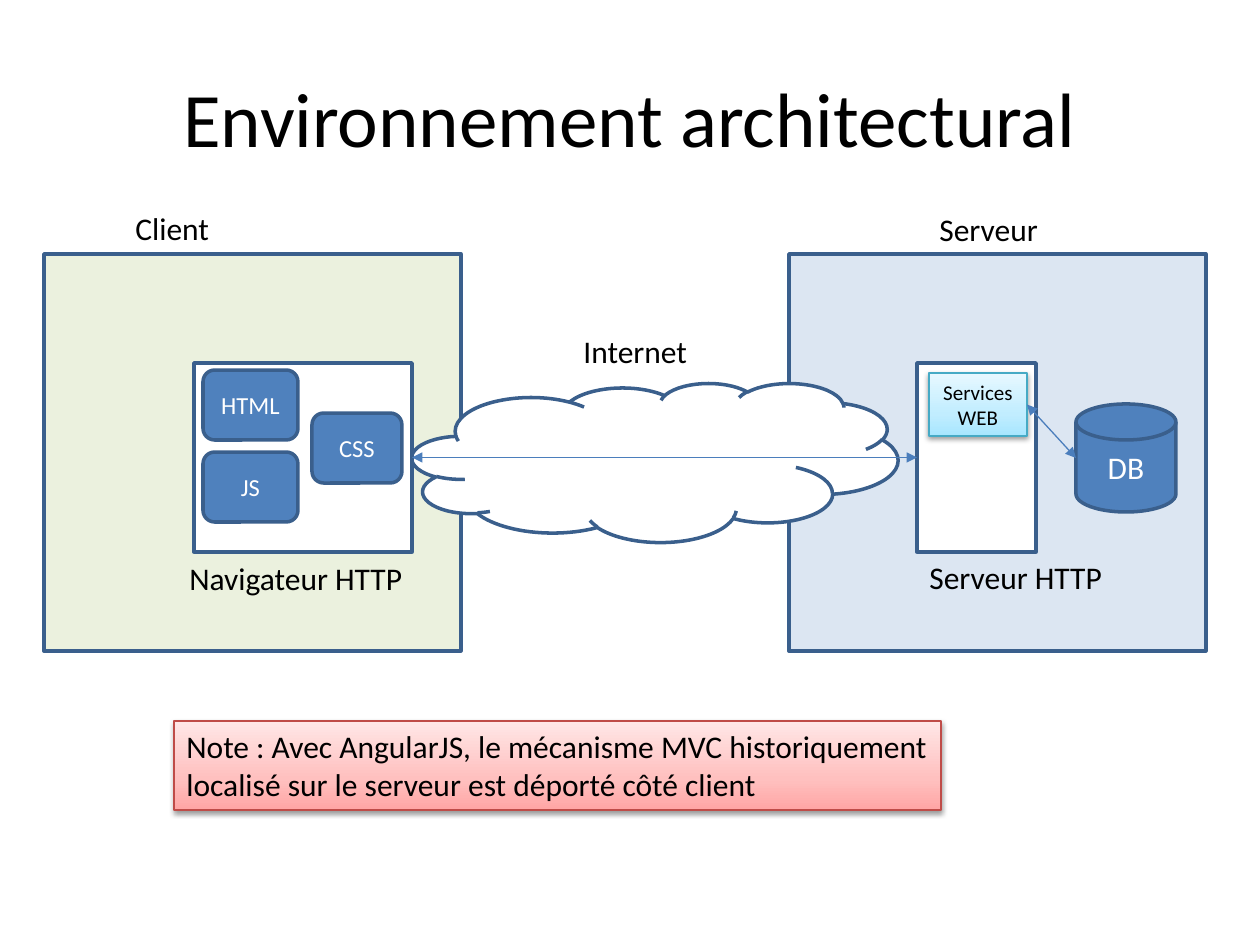
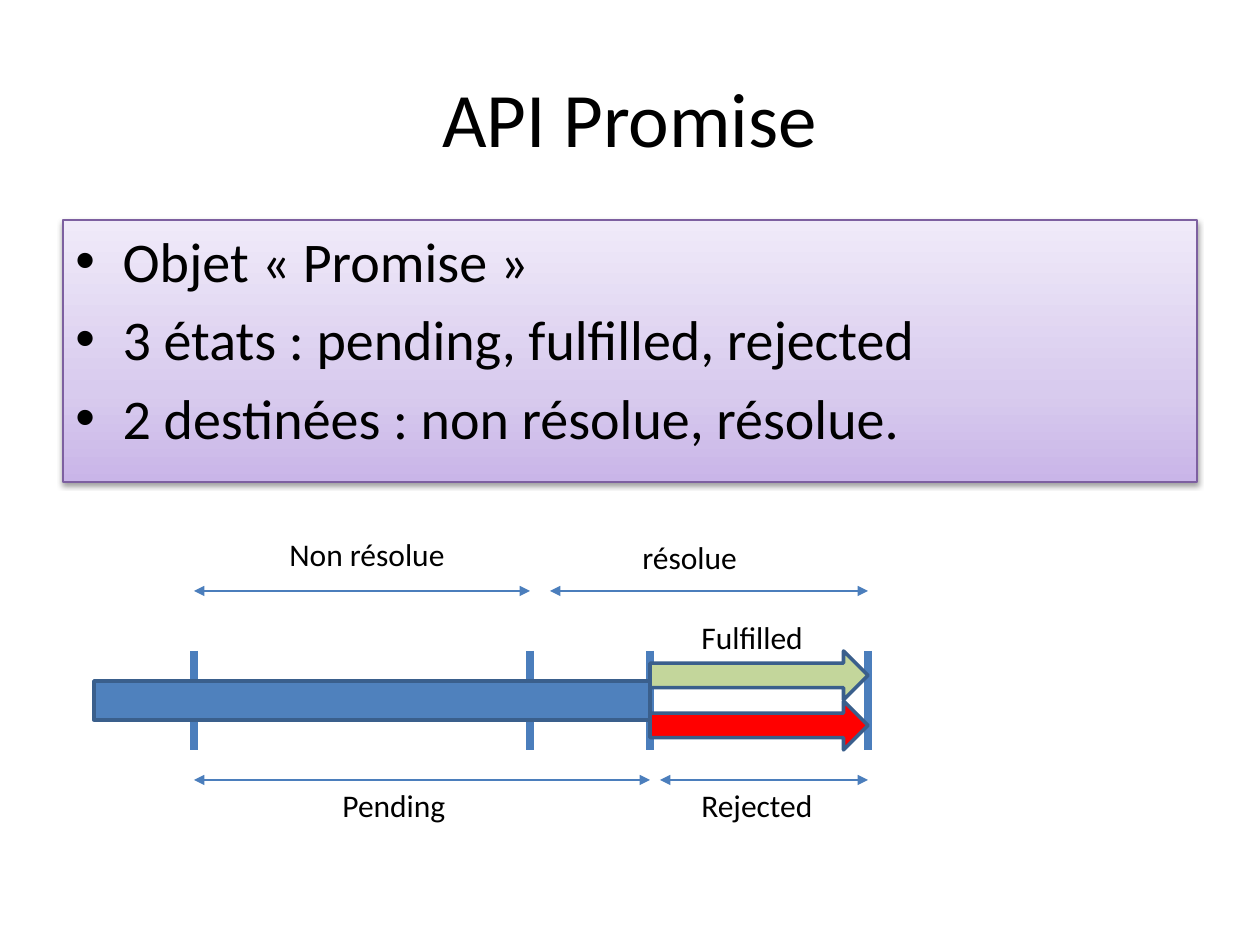
from lxml.etree import SubElement
from pptx import Presentation
from pptx.dml.color import RGBColor
from pptx.enum.shapes import MSO_CONNECTOR, MSO_SHAPE
from pptx.enum.text import MSO_ANCHOR, PP_ALIGN
from pptx.oxml.ns import qn
from pptx.util import Pt

PX = 914400 / 126
FONT = "Calibri"
BLACK, WHITE = "000000", "FFFFFF"
BLUE, OUTLINE, LINK = "4F81BD", "3A5F8C", "4B7EBC"
CLIENT_GREEN, SERVER_BLUE = "EBF1DE", "DCE6F2"
FULFILLED_GREEN, REJECTED_RED = "C3D69B", "FF0000"
# Gradient stops from bottom to top, then the outline
RED_CARD = ("FFA6A5", "FFC0BF", "FFE7E7"), "BF4C48"
AQUA_CARD = ("A7E6FF", "C1EDFF", "E7F8FF"), "46AAC5"
PURPLE_CARD = ("C9B5E8", "D8CBEE", "F0EAF9"), "7D60A0"


def emu(*lengths):
    return [round(length * PX) for length in lengths]


def rgb(value):
    return RGBColor.from_string(value)


def write(shape, lines, size, color=BLACK, align=PP_ALIGN.LEFT,
          anchor=MSO_ANCHOR.TOP, wrap=True, bullets=False):
    frame = shape.text_frame
    frame.word_wrap = wrap
    frame.vertical_anchor = anchor
    for index, line in enumerate(lines):
        paragraph = frame.paragraphs[0] if index == 0 else frame.add_paragraph()
        paragraph.text = line
        paragraph.alignment = align
        if bullets:
            add_bullet(paragraph)
            paragraph.space_before = Pt(size * 0.2 if index else 0)
        paragraph.font.name = FONT
        paragraph.font.size = Pt(size)
        paragraph.font.color.rgb = rgb(color)


def add_bullet(paragraph):
    properties = paragraph._p.get_or_add_pPr()
    properties.set("marL", "342900")
    properties.set("indent", "-342900")
    SubElement(properties, qn("a:buFont")).set("typeface", "Arial")
    SubElement(properties, qn("a:buChar")).set("char", "•")


def add_title(slide, text):
    title = slide.shapes.add_textbox(*emu(63, 38, 1134, 157))
    write(title, [text], 44, align=PP_ALIGN.CENTER, anchor=MSO_ANCHOR.MIDDLE)


def add_label(slide, text, left, top, width):
    label = slide.shapes.add_textbox(*emu(left, top, width, 51))
    write(label, [text], 18, wrap=False)


def add_block(slide, kind, box, fill, text=None, size=14):
    block = slide.shapes.add_shape(kind, *emu(*box))
    block.shadow.inherit = False
    block.fill.solid()
    block.fill.fore_color.rgb = rgb(fill)
    block.line.color.rgb = rgb(OUTLINE)
    block.line.width = Pt(2)
    if text:
        write(block, [text], size, WHITE, PP_ALIGN.CENTER, MSO_ANCHOR.MIDDLE)
    return block


def add_card(slide, box, style, lines, size, **text_options):
    """Rectangle with a vertical gradient and a soft shadow below."""
    stops, outline = style
    card = slide.shapes.add_shape(MSO_SHAPE.RECTANGLE, *emu(*box))
    card.fill.gradient()
    card.fill.gradient_angle = 90
    properties = card._element.spPr
    stop_list = properties.find(".//" + qn("a:gsLst"))
    stop_list.clear()
    for position, color in zip((0, 35, 100), stops):
        stop = SubElement(stop_list, qn("a:gs"), pos=str(position * 1000))
        SubElement(stop, qn("a:srgbClr"), val=color)
    card.line.color.rgb = rgb(outline)
    card.line.width = Pt(0.75)
    card.shadow.inherit = False
    shadow = SubElement(properties.find(qn("a:effectLst")), qn("a:outerShdw"),
                        blurRad="40000", dist="20000", dir="5400000",
                        rotWithShape="0")
    shadow_color = SubElement(shadow, qn("a:srgbClr"), val=BLACK)
    SubElement(shadow_color, qn("a:alpha"), val="38000")
    write(card, lines, size, **text_options)
    return card


def add_line(slide, start, end, width=0.75, arrows=True):
    line = slide.shapes.add_connector(MSO_CONNECTOR.STRAIGHT, *emu(*start, *end))
    line.line.color.rgb = rgb(LINK)
    line.line.width = Pt(width)
    if arrows:
        for tip in ("a:headEnd", "a:tailEnd"):
            SubElement(line.line._get_or_add_ln(), qn(tip), type="triangle")
    SubElement(line._element.spPr, qn("a:effectLst"))
    return line


def build_architecture(slide):
    add_title(slide, "Environnement architectural")
    for left, fill in ((44, CLIENT_GREEN), (789, SERVER_BLUE)):
        add_block(slide, MSO_SHAPE.RECTANGLE, (left, 254, 417, 397), fill)
    add_block(slide, MSO_SHAPE.CLOUD, (412, 383, 486, 159), WHITE)
    for label in (("Client", 123, 203, 100), ("Serveur", 927, 204, 125),
                  ("Internet", 571, 326, 130),
                  ("Navigateur HTTP", 177, 553, 241),
                  ("Serveur HTTP", 917, 552, 200)):
        add_label(slide, *label)

    browser = add_block(slide, MSO_SHAPE.RECTANGLE, (194, 363, 218, 189), WHITE)
    http_server = add_block(slide, MSO_SHAPE.RECTANGLE, (917, 363, 119, 189), WHITE)
    exchange = add_line(slide, (412, 457), (917, 457))
    exchange.begin_connect(browser, 3)
    exchange.end_connect(http_server, 1)
    for text, left, top, width in (("HTML", 203, 370, 95), ("JS", 203, 452, 95),
                                   ("CSS", 312, 413, 90)):
        add_block(slide, MSO_SHAPE.ROUNDED_RECTANGLE, (left, top, width, 70),
                  BLUE, text)

    add_card(slide, (174, 721, 767, 89), RED_CARD,
             ["Note : Avec AngularJS, le mécanisme MVC historiquement",
              "localisé sur le serveur est déporté côté client"], 18, wrap=False)
    add_block(slide, MSO_SHAPE.FLOWCHART_MAGNETIC_DISK, (1076, 404, 100, 108),
              BLUE, "DB", 18)
    services = add_card(slide, (929, 373, 98, 63), AQUA_CARD, ["Services WEB"],
                        12, align=PP_ALIGN.CENTER)
    query = add_line(slide, (1076, 458), (1027, 404))
    query.end_connect(services, 3)


def build_promise(slide):
    add_title(slide, "API Promise")
    add_card(slide, (63, 220, 1134, 262), PURPLE_CARD,
             ["Objet « Promise »", "3 états : pending, fulfilled, rejected",
              "2 destinées : non résolue, résolue."], 32, bullets=True)

    start, resolved, settled, end = 194, 530, 650, 868
    for x in (start, resolved, settled, end):
        add_line(slide, (x, 651), (x, 750), 4.5, arrows=False)
    for left, right, y in ((start, resolved, 591), (resolved + 20, end, 591),
                           (start, settled, 780), (settled + 10, end, 780)):
        add_line(slide, (left, y), (right, y))

    add_block(slide, MSO_SHAPE.RECTANGLE, (94, 681, settled - 94, 39), BLUE)
    for top, fill in ((651, FULFILLED_GREEN), (701, REJECTED_RED)):
        add_block(slide, MSO_SHAPE.RIGHT_ARROW,
                  (settled, top, end - settled, 49), fill)
    for label in (("Non résolue", 277, 529, 183), ("résolue", 630, 532, 121),
                  ("Pending", 330, 780, 130), ("Rejected", 689, 780, 137),
                  ("Fulfilled", 689, 612, 129)):
        add_label(slide, *label)


def main():
    deck = Presentation()
    deck.slide_width, deck.slide_height = emu(1260, 945)
    for build in (build_architecture, build_promise):
        build(deck.slides.add_slide(deck.slide_layouts[6]))
    deck.save("out.pptx")


if __name__ == "__main__":
    main()
